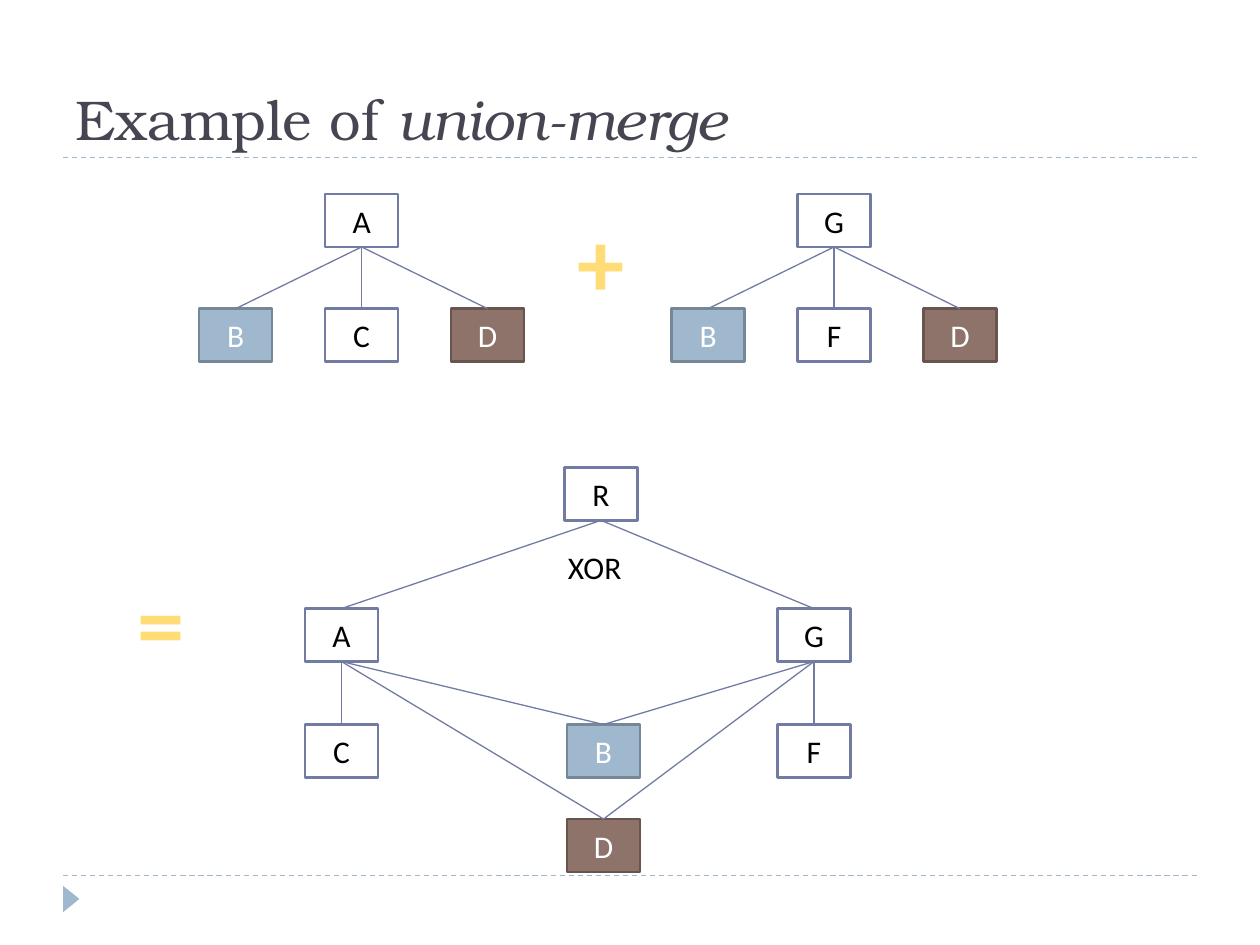
from lxml.etree import SubElement
from pptx import Presentation
from pptx.dml.color import RGBColor
from pptx.enum.dml import MSO_LINE as Dash
from pptx.enum.shapes import MSO_CONNECTOR as Link, MSO_SHAPE as Shape
from pptx.enum.text import MSO_ANCHOR as Anchor, PP_ALIGN as Align
from pptx.oxml.ns import qn
from pptx.util import Inches, Pt

WHITE = RGBColor(0xFF, 0xFF, 0xFF)
BLACK = RGBColor(0x00, 0x00, 0x00)
INK = RGBColor(0x46, 0x46, 0x53)
SLATE = RGBColor(0x72, 0x7C, 0xA3)
BLUE = RGBColor(0x9F, 0xB8, 0xCD)
STEEL = RGBColor(0x76, 0x88, 0x98)
BROWN = RGBColor(0x8E, 0x73, 0x6A)
UMBER = RGBColor(0x69, 0x55, 0x4E)
GOLD = RGBColor(0xFF, 0xDC, 0x75)

BODY = "Calibri"
HEAD = "TeX Gyre Bonum"
NODE_W, NODE_H = 0.58, 0.42
STYLES = {"B": (BLUE, STEEL, WHITE), "D": (BROWN, UMBER, WHITE)}
PLAIN = (WHITE, SLATE, BLACK)


def add_run(para, text, size, color, font=BODY, bold=False, italic=False):
    run = para.add_run()
    run.text = text
    run.font.size = Pt(size)
    run.font.name = font
    run.font.bold = bold
    run.font.italic = italic
    run.font.color.rgb = color


def add_line(slide, start, end, color, dash=None):
    line = slide.shapes.add_connector(Link.STRAIGHT, *map(Inches, start + end))
    line.line.color.rgb = color
    line.line.width = Pt(0.75)
    if dash:
        line.line.dash_style = dash
    SubElement(line._element.spPr, qn("a:effectLst"))
    return line


def add_node(slide, name, left, top):
    fill, edge, ink = STYLES.get(name, PLAIN)
    node = slide.shapes.add_shape(
        Shape.RECTANGLE, Inches(left), Inches(top), Inches(NODE_W), Inches(NODE_H))
    node.shadow.inherit = False
    node.fill.solid()
    node.fill.fore_color.rgb = fill
    node.line.color.rgb = edge
    node.line.width = Pt(1.5)
    frame = node.text_frame
    frame.vertical_anchor = Anchor.MIDDLE
    para = frame.paragraphs[0]
    para.alignment = Align.CENTER
    add_run(para, name, 18, ink)
    return node


def join(slide, upper, lower):
    line = add_line(slide, (0, 0), (1, 1), SLATE)
    line.begin_connect(upper, 2)
    line.end_connect(lower, 0)


def add_label(slide, text, left, top, width, height, size, color, bold=False):
    box = slide.shapes.add_textbox(*map(Inches, (left, top, width, height)))
    box.text_frame.word_wrap = False
    para = box.text_frame.paragraphs[0]
    para.alignment = Align.CENTER
    add_run(para, text, size, color, bold=bold)


def add_sign(slide, text, left, top):
    add_label(slide, text, left, top, 0.64, 1.01, 54, GOLD, True)


def add_frame(slide, left, width):
    for y in (6.95, 1.25):
        add_line(slide, (left, y), (left + width, y), BLUE, Dash.DASH)
    mark = slide.shapes.add_shape(
        Shape.ISOSCELES_TRIANGLE,
        Inches(left - 0.04), Inches(7.07), Inches(0.21), Inches(0.13))
    mark.rotation = 90
    mark.shadow.inherit = False
    mark.fill.solid()
    mark.fill.fore_color.rgb = BLUE
    mark.line.fill.background()


def add_title(slide, left, top, width, height):
    box = slide.shapes.add_textbox(*map(Inches, (left, top, width, height)))
    frame = box.text_frame
    frame.word_wrap = True
    frame.vertical_anchor = Anchor.BOTTOM
    para = frame.paragraphs[0]
    add_run(para, "Example of ", 32, INK, HEAD)
    add_run(para, "union-merge", 32, INK, HEAD, italic=True)


def add_tree(slide, root, leaves, left, top):
    parent = add_node(slide, root, left + 1, top)
    for i, name in enumerate(leaves):
        join(slide, parent, add_node(slide, name, left + i, top + 0.91))


def add_merge(slide, left, top):
    spots = {
        "R": (2.06, 0), "A": (0, 1.12), "G": (3.75, 1.12),
        "C": (0, 2.04), "B": (2.08, 2.04), "F": (3.75, 2.04),
        "D": (2.08, 2.79),
    }
    nodes = {name: add_node(slide, name, left + x, top + y)
             for name, (x, y) in spots.items()}
    for upper, lowers in (("R", "AG"), ("A", "CBD"), ("G", "FBD")):
        for lower in lowers:
            join(slide, nodes[upper], nodes[lower])
    add_label(slide, "XOR", left + 1.93, top + 0.59, 0.74, 0.4, 18, BLACK)


def main():
    deck = Presentation()
    deck.slide_width, deck.slide_height = Inches(10), Inches(7.5)
    slide = deck.slides.add_slide(deck.slide_layouts[6])
    add_frame(slide, 0.5, 9)
    add_title(slide, 0.5, 0.17, 9, 1.08)
    add_tree(slide, "A", "BCD", 1.58, 1.54)
    add_sign(slide, "+", 4.45, 1.56)
    add_tree(slide, "G", "BFD", 5.33, 1.54)
    add_sign(slide, "=", 0.96, 4.43)
    add_merge(slide, 2.42, 3.71)
    deck.save("out.pptx")


if __name__ == "__main__":
    main()
